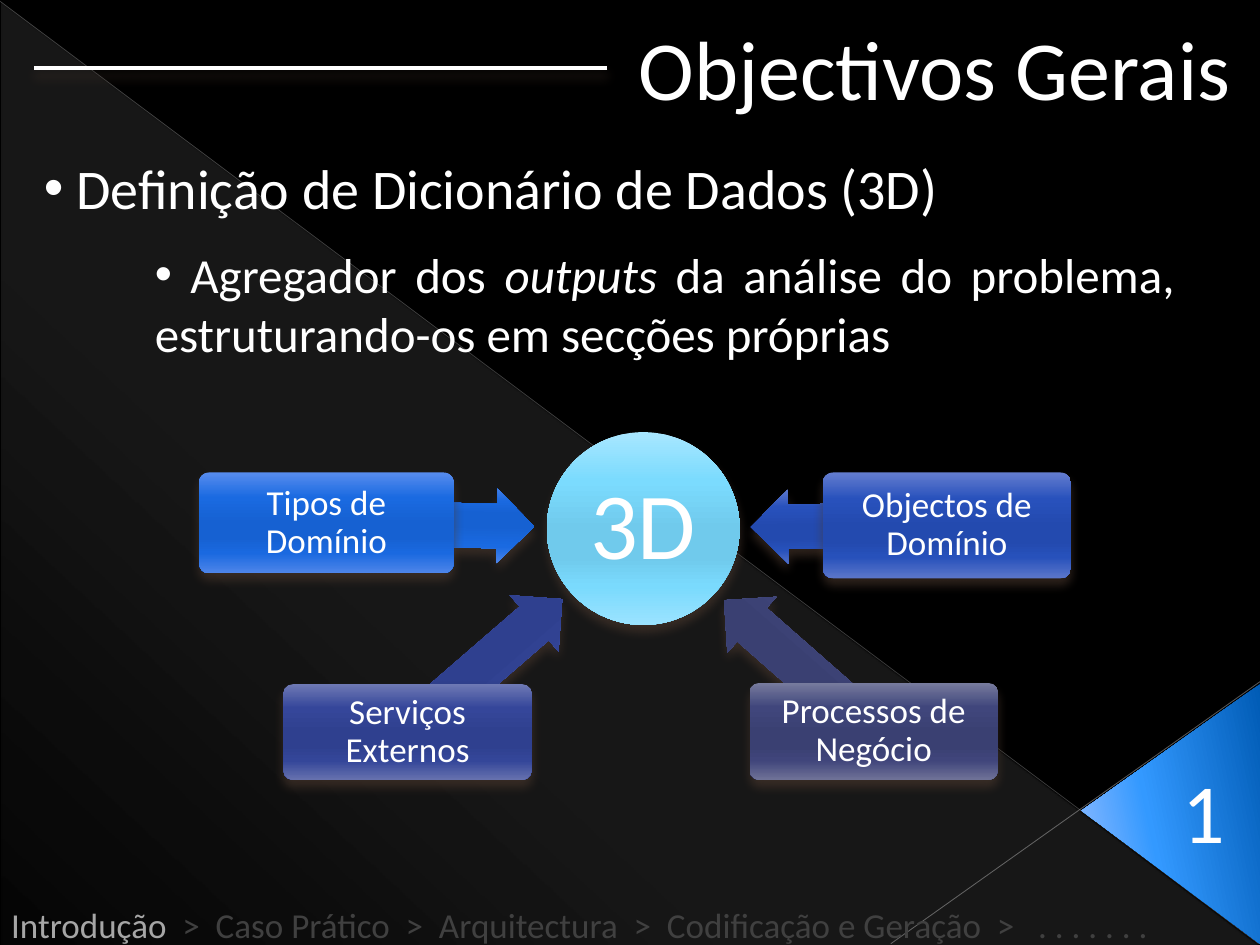
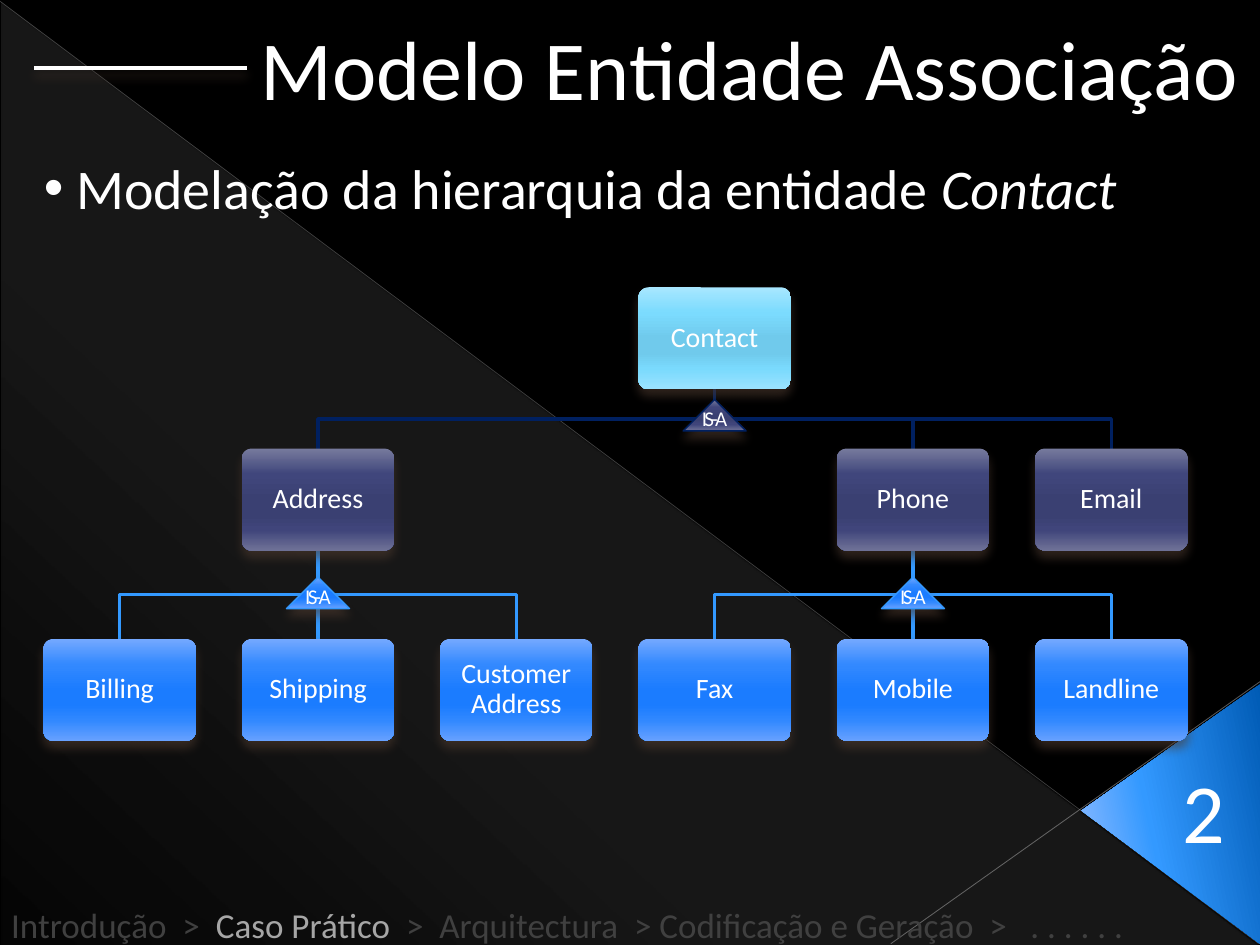
from lxml.etree import SubElement
from pptx import Presentation
from pptx.dml.color import RGBColor
from pptx.enum.shapes import MSO_CONNECTOR, MSO_SHAPE
from pptx.enum.text import MSO_ANCHOR, MSO_AUTO_SIZE, PP_ALIGN
from pptx.oxml.ns import qn
from pptx.util import Inches, Pt

FONT = "Calibri"
BLACK = RGBColor(0x00, 0x00, 0x00)
WHITE = RGBColor(0xFF, 0xFF, 0xFF)
ACTIVE = RGBColor(0xA6, 0xA6, 0xA6)
INACTIVE = RGBColor(0x40, 0x40, 0x40)
DIAGONAL = RGBColor(0xB4, 0xB4, 0xB4)
CORNER = RGBColor(0xBD, 0xBD, 0xBD)
SHADOW = RGBColor(0x4E, 0x3B, 0x30)
NAVY = RGBColor(0x00, 0x20, 0x60)
BLUE = RGBColor(0x33, 0x99, 0xFF)


def glossy(*codes):
    top, upper, middle, lower, bottom = [RGBColor.from_string(code) for code in codes]
    return [(0, top), (25, upper), (50, middle), (65, middle), (80, lower), (100, bottom)]


SKY = glossy("A8E7FF", "7BDBFE", "70CAEC", "7ADAFD", "9BE3FF")
ROYAL = glossy("578CEE", "1A6AE1", "1661D2", "1A69E0", "4E85E9")
COBALT = glossy("647DCF", "2851BC", "234AAF", "2751BB", "5B76CA")
INDIGO = glossy("6E79B4", "35469A", "2F408F", "344699", "6671AE")
SLATE = glossy("777B9D", "40467C", "3A4072", "40457B", "6F7297")
AZURE = glossy("75A9FF", "3389FF", "1B7CFF", "3188FF", "67A1FF")
VEIL = [(0, WHITE, 10), (70, WHITE, 8), (100, WHITE, 1)]
PAGE_CORNER = [(0, RGBColor(0x00, 0x5B, 0xB5)), (60, BLUE), (100, RGBColor(0x9B, 0xBF, 0xFF))]

SLIDES = [
    {
        "title": "Objectivos Gerais", "title_left": 4.97, "title_width": 4.95, "rule_end": 4.82,
        "heading": [(" Definição de Dicionário de Dados (3D)", {})],
        "trail": [("Introdução", ACTIVE),
                  ("  >  Caso Prático  >  Arquitectura  >  Codificação e Geração  >   . . . . . . .", INACTIVE)],
    },
    {
        "title": "Modelo Entidade Associação", "title_left": 1.97, "title_width": 8.05, "rule_end": 1.96,
        "heading": [(" Modelação da hierarquia da entidade ", {}), ("Contact", {"italic": True})],
        "trail": [("Introdução  >  ", INACTIVE), ("Caso Prático ", ACTIVE),
                  (" >  Arquitectura  > Codificação e Geração  >   . . . . . .", INACTIVE)],
    },
]
DETAIL = [(" Agregador dos ", {}), ("outputs ", {"italic": True}),
          ("da análise do problema, estruturando-os em secções próprias", {})]
HUB = ("3D", (4.34, 3.43, 1.53, 1.53))
SOURCES = [
    ("Tipos de Domínio", (1.58, 3.75, 2.02, 0.8), (2.59, 3.87, 1.65, 0.59), 181, ROYAL),
    ("Objectos de Domínio", (6.53, 3.75, 1.97, 0.84), (5.96, 3.88, 1.55, 0.59), 359.4, COBALT),
    ("Serviços Externos", (2.25, 5.43, 1.97, 0.76), (3.04, 4.99, 1.62, 0.59), 139.1, INDIGO),
    ("Processos de Negócio", (5.95, 5.42, 1.97, 0.77), (5.55, 4.99, 1.58, 0.59), 41.3, SLATE),
]
ENTITIES = {
    "Contact": (3, 0), "Address": (1, 1), "Phone": (4, 1), "Email": (5, 1),
    "Billing": (0, 2), "Shipping": (1, 2), "Customer Address": (2, 2),
    "Fax": (3, 2), "Mobile": (4, 2), "Landline": (5, 2),
}
HIERARCHY = [
    ("Contact", ["Address", "Phone", "Email"], NAVY, SLATE, 3.17),
    ("Address", ["Billing", "Shipping", "Customer Address"], BLUE, AZURE, 4.58),
    ("Phone", ["Fax", "Mobile", "Landline"], BLUE, AZURE, 4.58),
]
ROW_TOPS = [2.28, 3.56, 5.07]
ROW_COLOURS = [SKY, SLATE, AZURE]
FIRST_CENTRE, LAST_CENTRE = 0.95, 8.82
ENTITY_WIDTH, ENTITY_HEIGHT = 1.21, 0.81
MARKER_WIDTH, MARKER_HEIGHT = 0.5, 0.25


def inches(values):
    return [Inches(value) for value in values]


def set_alpha(colour_element, percent):
    SubElement(colour_element, qn("a:alpha"), val=str(percent * 1000))


def add_shadow(effects):
    outer = SubElement(effects, qn("a:outerShdw"), blurRad=str(Pt(6)), dist=str(Pt(4)),
                       dir="5400000", rotWithShape="0")
    set_alpha(SubElement(outer, qn("a:srgbClr"), val=str(SHADOW)), 60)


def write_text(shape, runs, size, colour=WHITE, align=PP_ALIGN.LEFT, anchor=MSO_ANCHOR.TOP,
               wrap=True, grow=False, inset=None, bullet=False, line_spacing=None, tracking=None):
    frame = shape.text_frame
    frame.word_wrap = wrap
    frame.vertical_anchor = anchor
    frame.auto_size = MSO_AUTO_SIZE.SHAPE_TO_FIT_TEXT if grow else MSO_AUTO_SIZE.NONE
    if inset is not None:
        frame.margin_left = frame.margin_right = Inches(inset)
        frame.margin_top = frame.margin_bottom = Inches(inset)
    paragraph = frame.paragraphs[0]
    paragraph.alignment = align
    if line_spacing:
        paragraph.line_spacing = line_spacing
    if bullet:
        properties = paragraph._p.get_or_add_pPr()
        SubElement(properties, qn("a:buFont"), typeface="Arial")
        SubElement(properties, qn("a:buChar"), char="•")
    for text, style in [(runs, {})] if isinstance(runs, str) else runs:
        run = paragraph.add_run()
        run.text = text
        run.font.name = FONT
        run.font.size = Pt(size)
        run.font.italic = style.get("italic", False)
        run.font.color.rgb = style.get("colour", colour)
        if tracking:
            run._r.get_or_add_rPr().set("spc", str(int(tracking * 100)))


def add_text(slide, box, runs, size, **text_format):
    write_text(slide.shapes.add_textbox(*inches(box)), runs, size, grow=True, **text_format)


def add_figure(slide, kind, box, stops, angle=90, rotation=0, adjustments=(), outline=None, shadow=True):
    shape = slide.shapes.add_shape(kind, *inches(box))
    shape.rotation = rotation
    for index, value in enumerate(adjustments):
        shape.adjustments[index] = value
    shape.fill.gradient()
    shape.fill.gradient_angle = 360 - angle
    stop_list = shape._element.spPr.find(qn("a:gradFill")).find(qn("a:gsLst"))
    for stop in list(stop_list):
        stop_list.remove(stop)
    for position, colour, *alpha in stops:
        stop = SubElement(stop_list, qn("a:gs"), pos=str(position * 1000))
        colour_element = SubElement(stop, qn("a:srgbClr"), val=str(colour))
        if alpha:
            set_alpha(colour_element, alpha[0])
    if outline:
        shape.line.color.rgb = outline
        shape.line.width = Pt(0.79)
    else:
        shape.line.fill.background()
    shape.shadow.inherit = False
    if shadow:
        add_shadow(shape._element.spPr.find(qn("a:effectLst")))
    return shape


def add_line(slide, start, end, colour, width, alpha=None, shadow=False):
    line = slide.shapes.add_connector(MSO_CONNECTOR.STRAIGHT, *inches(start + end))
    line.line.color.rgb = colour
    line.line.width = Pt(width)
    properties = line._element.spPr
    if alpha:
        set_alpha(next(properties.iter(qn("a:srgbClr"))), alpha)
    effects = SubElement(properties, qn("a:effectLst"))
    if shadow:
        add_shadow(effects)


def add_branch(slide, start, end, colour):
    if start[0] == end[0]:
        add_line(slide, start, end, colour, 2)
        return
    middle = (start[1] + end[1]) / 2
    builder = slide.shapes.build_freeform(*inches(start), scale=1.0)
    corners = [(start[0], middle), (end[0], middle), end]
    builder.add_line_segments([inches(corner) for corner in corners], close=False)
    branch = builder.convert_to_shape()
    branch.fill.background()
    branch.line.color.rgb = colour
    branch.line.width = Pt(2)
    branch.shadow.inherit = False


def add_frame(presentation, number, content):
    slide = presentation.slides.add_slide(presentation.slide_layouts[6])
    slide.background.fill.solid()
    slide.background.fill.fore_color.rgb = BLACK
    add_figure(slide, MSO_SHAPE.RIGHT_TRIANGLE, (0.01, 0.02, 9.98, 7.48), VEIL, angle=133, shadow=False)
    add_line(slide, (0, 0.01), (9.99, 7.49), DIAGONAL, 0.39, alpha=35)
    add_line(slide, (10, 5.41), (7.07, 7.49), CORNER, 0.47, alpha=45)
    add_figure(slide, MSO_SHAPE.ISOSCELES_TRIANGLE, (8.26, 5.75, 2.07, 1.42), PAGE_CORNER,
               angle=258, rotation=270, adjustments=[0.513], shadow=False)
    add_text(slide, (0.25, 1.17, 9.58, 0.64), content["heading"], 32, align=PP_ALIGN.JUSTIFY, bullet=True)
    add_text(slide, (9.29, 5.98, 0.54, 0.91), str(number), 48, wrap=False)
    add_text(slide, (content["title_left"], 0.08, content["title_width"], 0.91), content["title"], 48, wrap=False)
    add_line(slide, (content["rule_end"], 0.54), (0.27, 0.54), WHITE, 2, shadow=True)
    trail = [(text, {"colour": colour}) for text, colour in content["trail"]]
    add_text(slide, (-0.01, 7.12, 9.92, 0.44), trail, 20, align=PP_ALIGN.JUSTIFY)
    return slide


def add_label(shape, text, size, inset):
    write_text(shape, text, size, align=PP_ALIGN.CENTER, anchor=MSO_ANCHOR.MIDDLE,
               inset=inset, line_spacing=0.9)


def add_dictionary_diagram(slide):
    hub_text, hub_box = HUB
    add_label(add_figure(slide, MSO_SHAPE.OVAL, hub_box, SKY), hub_text, 54, 0.04)
    for text, box, arrow_box, rotation, stops in SOURCES:
        add_figure(slide, MSO_SHAPE.LEFT_ARROW, arrow_box, stops, rotation=rotation, adjustments=[0.6, 0.5])
        source = add_figure(slide, MSO_SHAPE.ROUNDED_RECTANGLE, box, stops, adjustments=[0.1])
        add_label(source, text, 20, 0.04)


def entity_position(name):
    column, row = ENTITIES[name]
    return FIRST_CENTRE + column * (LAST_CENTRE - FIRST_CENTRE) / 5, ROW_TOPS[row]


def add_entity_tree(slide):
    for parent, children, colour, stops, marker_top in HIERARCHY:
        centre, top = entity_position(parent)
        for child in children:
            add_branch(slide, (centre, top + ENTITY_HEIGHT), entity_position(child), colour)
    for name, (column, row) in ENTITIES.items():
        centre, top = entity_position(name)
        box = (centre - ENTITY_WIDTH / 2, top, ENTITY_WIDTH, ENTITY_HEIGHT)
        entity = add_figure(slide, MSO_SHAPE.ROUNDED_RECTANGLE, box, ROW_COLOURS[row], adjustments=[0.1])
        add_label(entity, name, 16, 0.07)
    for parent, children, colour, stops, marker_top in HIERARCHY:
        centre, top = entity_position(parent)
        box = (centre - MARKER_WIDTH / 2, marker_top, MARKER_WIDTH, MARKER_HEIGHT)
        marker = add_figure(slide, MSO_SHAPE.ISOSCELES_TRIANGLE, box, stops, outline=colour)
        write_text(marker, "IS-A", 12, align=PP_ALIGN.CENTER, anchor=MSO_ANCHOR.BOTTOM,
                   wrap=False, inset=0, tracking=-1.5)


presentation = Presentation()
presentation.slide_width = Inches(10)
presentation.slide_height = Inches(7.5)
goals, model = [add_frame(presentation, number, content) for number, content in enumerate(SLIDES, 1)]
add_dictionary_diagram(goals)
add_text(goals, (1.13, 1.89, 8.29, 1.04), DETAIL, 28, align=PP_ALIGN.JUSTIFY, bullet=True)
add_entity_tree(model)
presentation.save("out.pptx")
